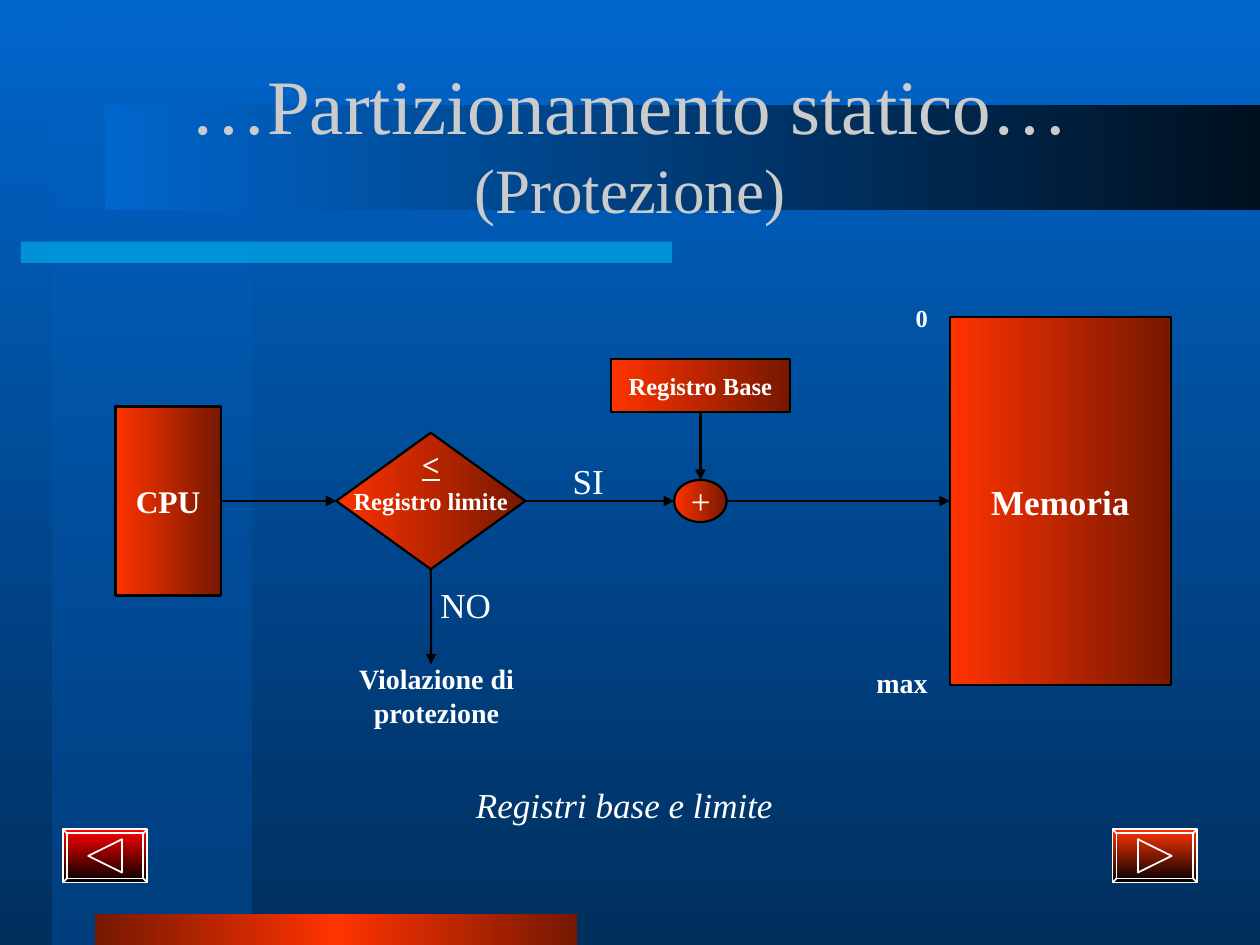
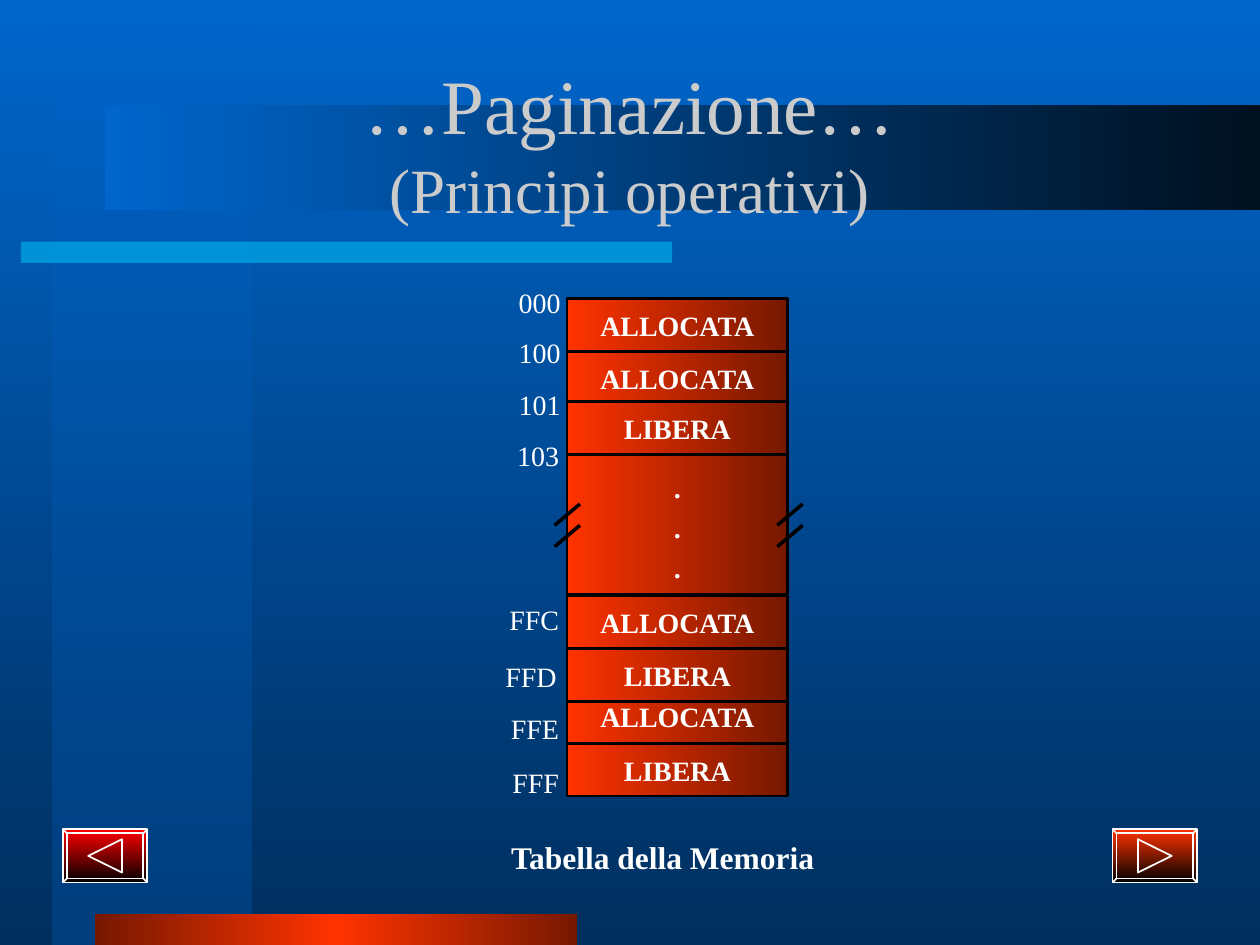
from copy import deepcopy

from lxml import etree
from pptx import Presentation
from pptx import util as u
from pptx.dml.color import RGBColor
from pptx.enum import shapes, text
from pptx.oxml.ns import qn

FONT = "Times New Roman"
WHITE = RGBColor(0xFF, 0xFF, 0xFF)
BLACK = RGBColor(0x00, 0x00, 0x00)
TITLE_GREY = RGBColor(0xCB, 0xCB, 0xCB)
BLUE = RGBColor(0x00, 0x66, 0xCC)
DEEP_BLUE = RGBColor(0x00, 0x2F, 0x5E)
COLUMN_BLUE = RGBColor(0x00, 0x3F, 0x7E)
NIGHT = RGBColor(0x00, 0x10, 0x1F)
CYAN = RGBColor(0x00, 0xCC, 0xFF)
RED = RGBColor(0xFF, 0x00, 0x00)
ORANGE = RGBColor(0xFF, 0x33, 0x00)
BROWN = RGBColor(0x76, 0x18, 0x00)

SHAPE = shapes.MSO_SHAPE
ALIGN = text.PP_ALIGN
ANCHOR = text.MSO_ANCHOR
AXIS = 10.1  # height of the main row of the flow, in cm
TITLE_BOX = (1.9, 1.27, 21.6, 3.18)


def lengths(*values):
    return [u.Cm(value) for value in values]


def write(frame, lines, size=16, sizes=None, color=WHITE, bold=False, italic=False,
          underline=False, align=ALIGN.CENTER, spacing=None):
    """Fill a frame with one paragraph per line; sizes gives each line its own size."""
    for index, line in enumerate(lines.split("\n")):
        para = frame.paragraphs[0] if index == 0 else frame.add_paragraph()
        para.alignment = align
        if spacing:
            para.line_spacing = spacing
        span = para.add_run()
        span.text = line
        font = span.font
        font.name = FONT
        font.size = u.Pt(sizes[index] if sizes else size)
        font.color.rgb = color
        font.bold, font.italic, font.underline = bold, italic, underline


def set_margins(frame, side=0.13):
    frame.margin_left = frame.margin_right = u.Cm(side)
    frame.margin_top = frame.margin_bottom = u.Cm(0.13)


def blend(fill, start, end, down=False):
    fill.gradient()
    fill.gradient_angle = 270 if down else 0
    for stop, color in zip(fill.gradient_stops, (start, end)):
        stop.color.rgb = color


def mirror_blend(shape):
    """Turn a two-stop gradient into one that returns to its first colour."""
    shape.fill.gradient_stops[1].position = 0.5
    stops = next(shape._element.iter(qn("a:gsLst")))
    last = deepcopy(stops[0])
    last.set("pos", "100000")
    stops.append(last)


def fade(shape, percent):
    """Make the first fill colour of a shape partly transparent."""
    color = next(shape._element.spPr.iter(qn("a:srgbClr")))
    etree.SubElement(color, qn("a:alpha")).set("val", str(percent * 1000))


def plain_shape(page, kind, *place):
    shape = page.shapes.add_shape(kind, *lengths(*place))
    shape.shadow.inherit = False
    shape.line.fill.background()
    return shape


def set_line(shape, color, width):
    shape.line.color.rgb = color
    shape.line.width = u.Pt(width)


def block(page, kind, words, *place, line_width=1.25, **style):
    """Draw an outlined orange shape with centred text."""
    shape = plain_shape(page, kind, *place)
    blend(shape.fill, ORANGE, BROWN)
    set_line(shape, BLACK, line_width)
    frame = shape.text_frame
    set_margins(frame)
    frame.word_wrap = False
    frame.vertical_anchor = ANCHOR.MIDDLE
    write(frame, words, **style)
    return shape


def note(page, words, *place, side=0.13, **style):
    frame = page.shapes.add_textbox(*lengths(*place)).text_frame
    set_margins(frame, side)
    frame.word_wrap = True
    frame.auto_size = text.MSO_AUTO_SIZE.SHAPE_TO_FIT_TEXT
    write(frame, words, **style)


def address(page, words, left, top):
    frame = page.shapes.add_textbox(*lengths(left, top, 1.7, 1.06)).text_frame
    set_margins(frame)
    frame.word_wrap = False
    frame.vertical_anchor = ANCHOR.MIDDLE
    write(frame, words, align=ALIGN.RIGHT)


def connect(page, *ends, width=1.25):
    line = page.shapes.add_connector(shapes.MSO_CONNECTOR.STRAIGHT, *lengths(*ends))
    set_line(line, BLACK, width)
    etree.SubElement(line._element.spPr, qn("a:effectLst"))
    return line


def arrow(page, *ends, source=None, target=None):
    """Draw an arrow; source and target are (shape, side) pairs to join it to."""
    line = connect(page, *ends)
    if source:
        line.begin_connect(*source)
    if target:
        line.end_connect(*target)
    outline = line._element.spPr.find(qn("a:ln"))
    etree.SubElement(outline, qn("a:tailEnd")).set("type", "triangle")


def button(page, left, color, forward):
    """Draw a bevelled navigation button with its triangle."""
    top, width, height, edge = 16.72, 1.7, 1.07, 0.08
    face = plain_shape(page, SHAPE.RECTANGLE, left, top, width, height)
    blend(face.fill, color, BLACK, down=True)
    set_line(face, WHITE, 1)

    outer = [(0, 0), (width, 0), (width, height), (0, height)]
    inner = [(edge, edge), (width - edge, edge),
             (width - edge, height - edge), (edge, height - edge)]
    base, tip = (0.51, 1.19) if forward else (1.19, 0.51)
    triangle = [(base, 0.2), (tip, height / 2), (base, height - 0.2)]
    contours = [(inner, True), (triangle, True)]
    contours += [(corners, False) for corners in zip(outer, inner)]

    builder = None
    for points, closed in contours:
        first, *rest = [lengths(left + x, top + y) for x, y in points]
        if builder is None:
            builder = page.shapes.build_freeform(*first, scale=1.0)
        else:
            builder.move_to(*first)
        builder.add_line_segments(rest, close=closed)
    outline = builder.convert_to_shape()
    outline.shadow.inherit = False
    outline.fill.background()
    set_line(outline, WHITE, 1)


def draw_bands(page):
    column = plain_shape(page, SHAPE.RECTANGLE, 1.06, 0, 4.02, 19.05)
    blend(column.fill, BLUE, COLUMN_BLUE, down=True)
    fade(column, 50)
    rule = plain_shape(page, SHAPE.RECTANGLE, 0.42, 4.87, 13.13, 0.43)
    rule.fill.solid()
    rule.fill.fore_color.rgb = CYAN
    fade(rule, 50)
    footer = plain_shape(page, SHAPE.RECTANGLE, 1.92, 18.42, 9.72, 0.63)
    blend(footer.fill, BROWN, ORANGE)
    mirror_blend(footer)
    header = plain_shape(page, SHAPE.RECTANGLE, 2.12, 2.12, 23.28, 2.11)
    blend(header.fill, BLUE, NIGHT)


def prepare_layout(deck, layout, page):
    """Draw the shared parts on a page and hand them over to its layout."""
    blend(deck.slide_master.background.fill, BLUE, DEEP_BLUE, down=True)
    for holder in list(layout.placeholders):
        if holder.placeholder_format.type != shapes.PP_PLACEHOLDER.TITLE:
            holder._element.getparent().remove(holder._element)
    draw_bands(page)
    button(page, 1.27, RED, forward=False)
    button(page, 22.43, ORANGE, forward=True)
    for shape in list(page.shapes):
        if not shape.is_placeholder:
            layout.shapes._spTree.append(shape._element)


def set_title(page, words):
    title = page.shapes.title
    title.left, title.top, title.width, title.height = lengths(*TITLE_BOX)
    frame = title.text_frame
    set_margins(frame, 0.25)
    frame.auto_size = text.MSO_AUTO_SIZE.NONE
    frame.vertical_anchor = ANCHOR.MIDDLE
    write(frame, words, sizes=(44, 36), color=TITLE_GREY)


def draw_protection(page):
    set_title(page, "…Partizionamento statico…\n(Protezione)")

    def on_axis(kind, words, left, width, height, **style):
        return block(page, kind, words, left, AXIS - height / 2, width, height, **style)

    check = on_axis(SHAPE.DIAMOND, "Registro limite", 6.78, 3.81, 2.75, size=14, bold=True)
    cpu = on_axis(SHAPE.RECTANGLE, "CPU", 2.33, 2.12, 3.81, size=18, bold=True)
    base = block(page, SHAPE.RECTANGLE, "Registro Base", 12.32, 7.24, 3.6, 1.06,
                 size=14, bold=True)
    memory = on_axis(SHAPE.RECTANGLE, "Memoria", 19.15, 4.45, 7.41, size=20, bold=True)
    adder = on_axis(SHAPE.OVAL, "+", 13.59, 1.06, 0.85, size=20, italic=True)

    arrow(page, 4.45, AXIS, 6.78, AXIS, source=(cpu, 3), target=(check, 1))
    arrow(page, 10.59, AXIS, 13.59, AXIS, source=(check, 3))
    arrow(page, 14.12, 8.3, 14.12, 9.68, source=(base, 2), target=(adder, 0))
    arrow(page, 8.69, 11.48, 8.69, 13.39, source=(check, 2))
    arrow(page, 14.65, AXIS, 19.15, AXIS, target=(memory, 1))

    note(page, "NO", 8.33, 11.63, 2.12, 1.09, size=20)
    note(page, "SI", 10.8, 9.14, 2.12, 1.09, size=20)
    note(page, "<", 8.05, 8.84, 1.27, 1.02, size=18, bold=True, underline=True)
    note(page, "Violazione di protezione", 6.68, 13.21, 4.24, 1.6, bold=True)
    note(page, "0", 18.21, 5.97, 0.84, 0.86, side=0.25, size=14, bold=True,
         align=ALIGN.LEFT)
    note(page, "max", 17.42, 13.28, 1.7, 0.94, side=0.25, bold=True, align=ALIGN.LEFT)
    note(page, "Registri base e limite", 5.92, 15.67, 13.34, 1.09, size=20, italic=True)


def draw_memory_table(page):
    set_title(page, "…Paginazione…\n(Principi operativi)")
    cells = [("ALLOCATA", 6.02), ("ALLOCATA", 7.09), ("LIBERA", 8.1),
             ("ALLOCATA", 12.01), ("ALLOCATA", 13.92), ("LIBERA", 13.08),
             ("LIBERA", 14.99)]
    addresses = [("000", 9.73, 5.56), ("100", 9.73, 6.58), ("101", 9.73, 7.62),
                 ("103", 9.7, 8.64), ("FFC", 9.7, 11.96), ("FFD", 9.65, 13.11),
                 ("FFE", 9.7, 14.15), ("FFF", 9.7, 15.24)]

    def cell(words, top, height=1.06, **style):
        block(page, SHAPE.RECTANGLE, words, 11.43, top, 4.45, height,
              line_width=1.5, bold=True, **style)

    cell(".\n.\n.", 9.14, 2.84, spacing=1.2)
    for words, top in cells:
        cell(words, top)
    for words, left, top in addresses:
        address(page, words, left, top)
    for left in (11.18, 15.67):
        for top in (10.16, 10.59):
            connect(page, left + 0.51, top, left, top + 0.43, width=2)
    note(page, "Tabella della Memoria", 9.73, 16.76, 7.26, 1.02, size=18, bold=True)


def main():
    deck = Presentation()
    deck.slide_width, deck.slide_height = lengths(25.4, 19.05)
    layout = deck.slide_layouts.get_by_name("Title Only")
    protection = deck.slides.add_slide(layout)
    prepare_layout(deck, layout, protection)
    draw_protection(protection)
    draw_memory_table(deck.slides.add_slide(layout))
    deck.save("out.pptx")


if __name__ == "__main__":
    main()
